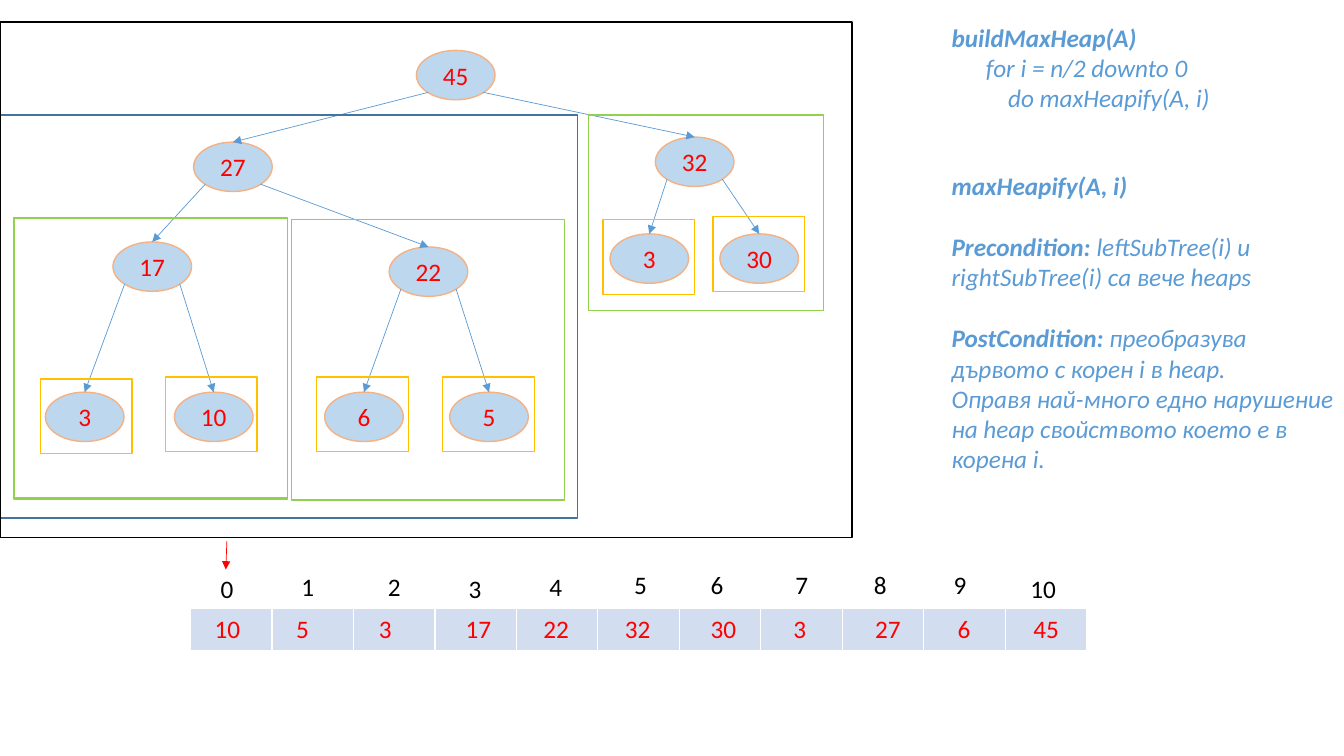
from lxml import etree
from pptx import Presentation
from pptx.dml.color import RGBColor
from pptx.enum.shapes import MSO_CONNECTOR, MSO_SHAPE
from pptx.enum.text import MSO_ANCHOR, PP_ALIGN
from pptx.oxml.ns import qn
from pptx.util import Inches, Pt

STRAIGHT = MSO_CONNECTOR.STRAIGHT
OVAL, RECT = MSO_SHAPE.OVAL, MSO_SHAPE.RECTANGLE
MIDDLE, CENTER = MSO_ANCHOR.MIDDLE, PP_ALIGN.CENTER
BLUE, RED, BLACK, WHITE = "5B9BD5", "FF0000", "000000", "FFFFFF"
ORANGE, GREEN = "FFC000", "92D050"
NODE_W, NODE_H = 0.78, 0.49
LINE = 22

HEAP = [
    ("45", 4.13, 0.5), ("27", 1.92, 1.41), ("32", 6.5, 1.36), ("17", 1.12, 2.4),
    ("22", 3.86, 2.45), ("3", 6.05, 2.32), ("30", 7.14, 2.32), ("3", 0.45, 3.89),
    ("10", 1.73, 3.89), ("6", 3.22, 3.89), ("5", 4.46, 3.89),
]
LEAF_FRAMES = [(0.4, 3.76), (1.64, 3.74), (3.14, 3.74), (4.39, 3.74), (5.98, 2.18), (7.07, 2.15)]
SUBTREE_FRAMES = [
    (2.89, 2.18, 2.71, 2.78, GREEN), (0.14, 2.16, 2.71, 2.78, GREEN),
    (0.14, 2.17, 2.71, 2.78, GREEN), (5.84, 1.14, 2.33, 1.94, GREEN),
    (0, 1.14, 5.73, 4, "43739E"), (0, 0.22, 8.45, 5.11, BLACK),
]
INDEX_PLACES = [
    (2.09, 5.64), (2.89, 5.62), (3.75, 5.62), (4.55, 5.64), (5.35, 5.62), (6.19, 5.6),
    (6.95, 5.6), (7.79, 5.6), (8.57, 5.6), (9.36, 5.6), (10.12, 5.64),
]
ARRAY = [
    ("10", 2.03), ("5", 2.84), ("3", 3.66), ("17", 4.52), ("22", 5.29), ("32", 6.1),
    ("30", 6.95), ("3", 7.77), ("27", 8.58), ("6", 9.4), ("45", 10.15),
]
BUILD = [
    ([("buildMaxHeap(A)", True)], 0, 0),
    ([("for i = n/2 downto 0", False)], 0.34, 0),
    ([("do maxHeapify(A, i)", False)], 0.56, 0),
]
HEAPIFY = [
    ([("maxHeapify(A, i)", True)], 0, 0),
    ([("Precondition: ", True), ("leftSubTree(i) и rightSubTree(i) са вече heaps", False)], 0, LINE),
    ([("PostCondition: ", True), ("преобразува дървото с корен i в heap.", False)], 0, LINE),
    ([("Оправя най-много едно нарушение на heap свойството което е в корена i.", False)], 0, 0),
]


def rgb(value):
    """Return the colour of a hex string."""
    return RGBColor.from_string(value)


def add_run(p, text, color=BLACK, bold=False, italic=False):
    """Append a formatted run to a paragraph."""
    r = p.add_run()
    r.text = text
    r.font.name, r.font.size = "Calibri", Pt(18)
    r.font.bold, r.font.italic = bold, italic
    r.font.color.rgb = rgb(color)


def add_box(s, x, y, w, h):
    """Add a wrapping text box and return its text frame."""
    tf = s.shapes.add_textbox(Inches(x), Inches(y), Inches(w), Inches(h)).text_frame
    tf.word_wrap = True
    return tf


def add_label(s, text, x, y, color):
    """Add a short number beside or inside the array."""
    tf = add_box(s, x, y, 0.2 + 0.14 * len(text), 0.4)
    add_run(tf.paragraphs[0], text, color)


def add_notes_text(s, x, y, w, h, lines):
    """Add a block of italic pseudocode with indents and gaps."""
    tf = add_box(s, x, y, w, h)
    for i, (runs, indent, gap) in enumerate(lines):
        p = tf.add_paragraph() if i else tf.paragraphs[0]
        p.space_before = Pt(gap)
        p._p.get_or_add_pPr().set("marL", str(Inches(indent)))
        for text, bold in runs:
            add_run(p, text, BLUE, bold, italic=True)


def add_outline(s, kind, x, y, w, h, color):
    """Add an unfilled preset shape with a thin line."""
    sp = s.shapes.add_shape(kind, Inches(x), Inches(y), Inches(w), Inches(h))
    sp.shadow.inherit = False
    sp.fill.background()
    sp.line.color.rgb = rgb(color)
    sp.line.width = Pt(1)
    return sp


def add_node(s, text, x, y):
    """Add a heap node."""
    sp = add_outline(s, OVAL, x, y, NODE_W, NODE_H, "F4B183")
    sp.fill.solid()
    sp.fill.fore_color.rgb = rgb("BDD7EE")
    tf = sp.text_frame
    tf.vertical_anchor = MIDDLE
    p = tf.paragraphs[0]
    p.alignment = CENTER
    add_run(p, text, RED)
    return sp


def add_arrow(s, x1, y1, x2, y2, color):
    """Add a thin straight arrow."""
    c = s.shapes.add_connector(STRAIGHT, Inches(x1), Inches(y1), Inches(x2), Inches(y2))
    c.line.color.rgb = rgb(color)
    c.line.width = Pt(0.5)
    etree.SubElement(c.line._get_or_add_ln(), qn("a:tailEnd"), type="triangle")
    etree.SubElement(c._element.spPr, qn("a:effectLst"))
    return c


def add_tree(s):
    """Add the nodes in heap order and link each one to its parent."""
    for i, (text, x, y) in enumerate(HEAP):
        node = add_node(s, text, x, y)
        if i:
            _, px, py = HEAP[(i - 1) // 2]
            side = 0.15 if i % 2 else 0.85
            edge = add_arrow(s, px + side * NODE_W, py + 0.85 * NODE_H, x + NODE_W / 2, y, BLUE)
            edge.end_connect(node, 0)


def add_cell_border(cell):
    """Give a table cell white borders on all sides."""
    tcPr = cell._tc.get_or_add_tcPr()
    for i, side in enumerate(("lnL", "lnR", "lnT", "lnB")):
        ln = etree.Element(qn("a:" + side), w=str(Pt(1)))
        fill = etree.SubElement(ln, qn("a:solidFill"))
        etree.SubElement(fill, qn("a:srgbClr"), val=WHITE)
        tcPr.insert(i, ln)


def add_array(s):
    """Add the array strip with its indices and values."""
    frame = s.shapes.add_table(1, len(ARRAY), Inches(1.89), Inches(6.04), Inches(8.89), Inches(0.41))
    for cell in frame.table.rows[0].cells:
        cell.fill.solid()
        cell.fill.fore_color.rgb = rgb("D2DEEF")
        add_cell_border(cell)
    for i, (x, y) in enumerate(INDEX_PLACES):
        add_label(s, str(i), x, y, BLACK)
    for text, x in ARRAY:
        add_label(s, text, x, 6.04, RED)


def main():
    """Build the heap slide."""
    prs = Presentation()
    prs.slide_width, prs.slide_height = Inches(13.33), Inches(7.5)
    s = prs.slides.add_slide(prs.slide_layouts[6])
    add_array(s)
    add_notes_text(s, 9.34, 0.17, 3.99, 1.01, BUILD)
    add_notes_text(s, 9.34, 1.64, 4.03, 3.13, HEAPIFY)
    add_tree(s)
    for x, y in LEAF_FRAMES:
        add_outline(s, RECT, x, y, 0.91, 0.74, ORANGE)
    for x, y, w, h, color in SUBTREE_FRAMES:
        add_outline(s, RECT, x, y, w, h, color)
    add_arrow(s, 2.25, 5.37, 2.24, 5.65, RED)
    prs.save("out.pptx")


main()
